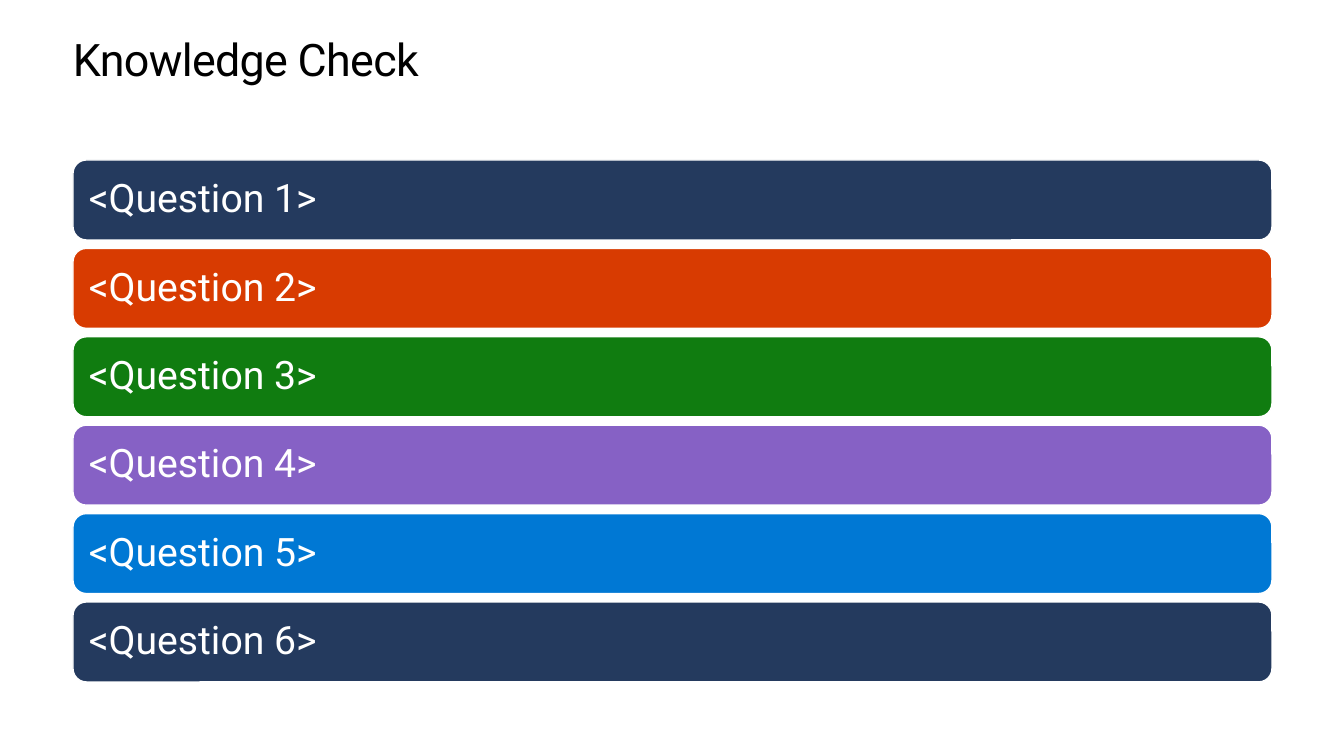
import pptx
import pptx.util
import pptx.dml.color
import pptx.enum.shapes
import pptx.enum.text

# Content
HEADING = "Knowledge Check"
QUESTIONS = [
    ("<Question 1>", "243A5E"),
    ("<Question 2>", "D83B01"),
    ("<Question 3>", "107C10"),
    ("<Question 4>", "8661C5"),
    ("<Question 5>", "0078D4"),
    ("<Question 6>", "243A5E"),
]

# Layout in pixels
SLIDE_W, SLIDE_H = 1344, 756
LEFT, WIDTH = 73, 1199
HEADING_TOP, HEADING_H = 35, 50
FIRST_TOP, LAST_TOP, BAR_H = 160, 602, 80
PADDING = 12
PITCH = (LAST_TOP - FIRST_TOP) / (len(QUESTIONS) - 1)


def px(pixels):
    return pptx.util.Inches(pixels / 100.8)


def color(hex_value):
    return pptx.dml.color.RGBColor.from_string(hex_value)


def write(shape, text, size, hex_value, spacing, padding, anchor):
    frame = shape.text_frame
    frame.word_wrap = True
    frame.vertical_anchor = anchor
    frame.margin_left = frame.margin_right = px(padding)
    frame.margin_top = frame.margin_bottom = px(padding)
    paragraph = frame.paragraphs[0]
    paragraph.text = text
    paragraph.alignment = pptx.enum.text.PP_ALIGN.LEFT
    paragraph.line_spacing = spacing
    paragraph.font.name = "Roboto"
    paragraph.font.size = pptx.util.Pt(size)
    paragraph.font.color.rgb = color(hex_value)
    return paragraph


deck = pptx.Presentation()
deck.slide_width, deck.slide_height = px(SLIDE_W), px(SLIDE_H)
slide = deck.slides.add_slide(deck.slide_layouts[6])

# Heading
heading = slide.shapes.add_textbox(px(LEFT), px(HEADING_TOP), px(WIDTH), px(HEADING_H))
heading_line = write(heading, HEADING, 32, "000000", pptx.util.Pt(36.2), 0,
                     pptx.enum.text.MSO_ANCHOR.TOP)
heading_line.runs[0]._r.get_or_add_rPr().set("spc", "-50")

# Question bars
for index, (question, fill) in enumerate(QUESTIONS):
    bar = slide.shapes.add_shape(
        pptx.enum.shapes.MSO_SHAPE.ROUNDED_RECTANGLE,
        px(LEFT), px(FIRST_TOP + index * PITCH), px(WIDTH), px(BAR_H))
    bar.shadow.inherit = False
    bar.fill.solid()
    bar.fill.fore_color.rgb = color(fill)
    bar.line.color.rgb = color("FFFFFF")
    bar.line.width = pptx.util.Pt(1)
    write(bar, question, 28, "FFFFFF", 0.9, PADDING, pptx.enum.text.MSO_ANCHOR.MIDDLE)

deck.save("out.pptx")
